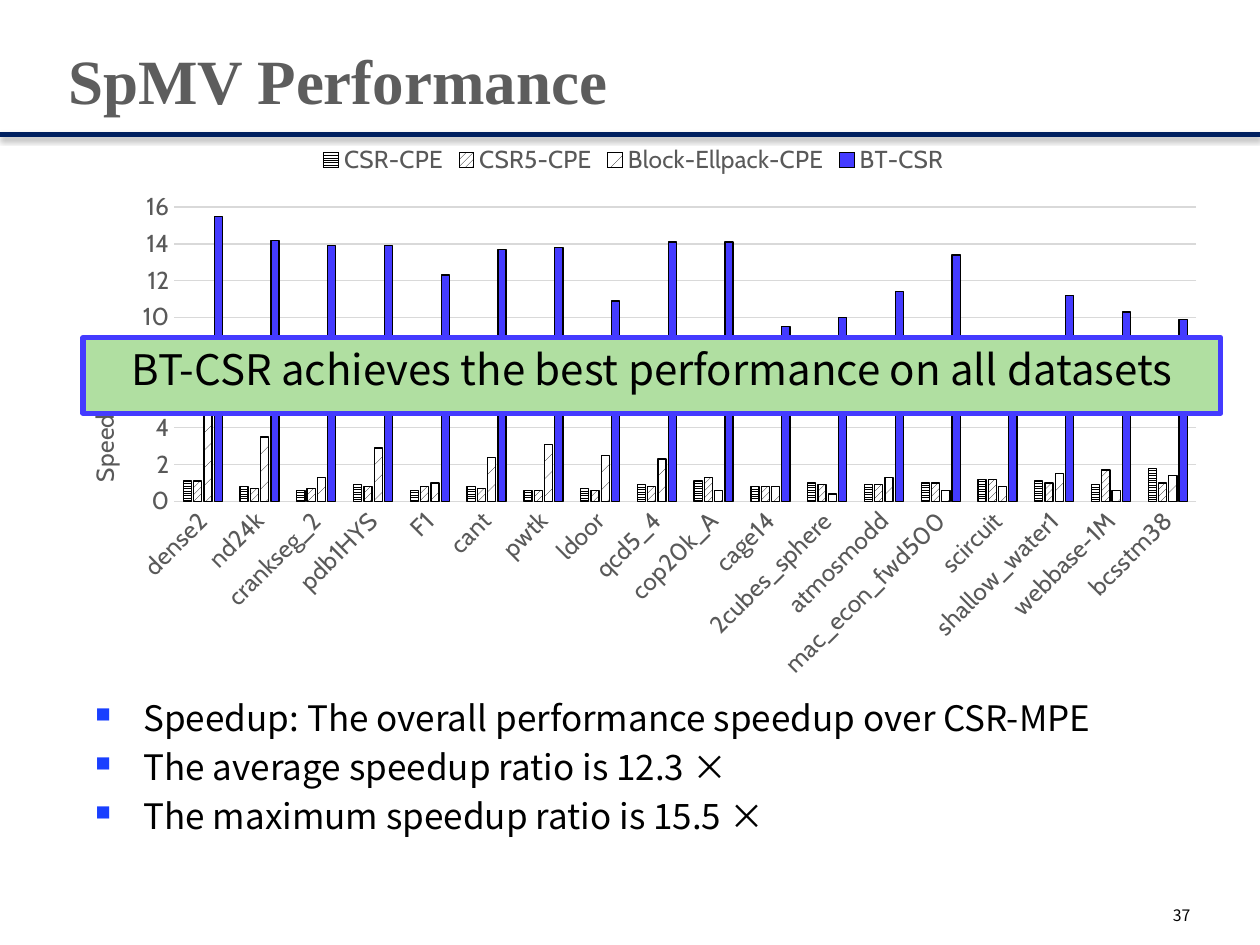
"""Build the SpMV performance slide with its speedup chart."""
from lxml import etree
from pptx import Presentation
from pptx import util as u
from pptx.chart import data as cd
from pptx.dml.color import RGBColor
from pptx.enum import chart as ch, dml, shapes, text
from pptx.oxml import ns, parse_xml

I, P = u.Inches, u.Pt
BLACK = RGBColor(0, 0, 0)
WHITE = RGBColor(255, 255, 255)
GREY = RGBColor(0x59, 0x59, 0x59)
TITLE = RGBColor(0x5D, 0x5D, 0x5D)
GRID = RGBColor(0xD9, 0xD9, 0xD9)
NAVY = RGBColor(0, 0x20, 0x60)
BLUE = RGBColor(0x44, 0x3B, 0xFF)
GREEN = RGBColor(0xB0, 0xDF, 0xA1)
SANS, SERIF, CABIN = "Noto Sans CJK SC", "Times New Roman", "Cabin"

BANNER = "BT-CSR achieves the best performance on all datasets"
POINTS = [
    "Speedup: The overall performance speedup over CSR-MPE",
    "The average speedup ratio is 12.3 ×",
    "The maximum speedup ratio is 15.5 ×",
]
SETS = ["dense2", "nd24k", "crankseg_2", "pdb1HYS", "F1", "cant", "pwtk", "ldoor",
        "qcd5_4", "cop20k_A", "cage14", "2cubes_sphere", "atmosmodd",
        "mac_econ_fwd500", "scircuit", "shallow_water1", "webbase-1M", "bcsstm38"]
PAT = dml.MSO_PATTERN
SERIES = [
    ("CSR-CPE", PAT.LIGHT_HORIZONTAL,
     [1.1, 0.8, 0.6, 0.9, 0.6, 0.8, 0.6, 0.7, 0.9, 1.1, 0.8, 1, 0.9, 1, 1.2, 1.1, 0.9, 1.8]),
    ("CSR5-CPE", PAT.WIDE_UPWARD_DIAGONAL,
     [1.1, 0.7, 0.7, 0.8, 0.8, 0.7, 0.6, 0.6, 0.8, 1.3, 0.8, 0.9, 0.9, 1, 1.2, 1, 1.7, 1]),
    ("Block-Ellpack-CPE", PAT.PERCENT_5,
     [5.6, 3.5, 1.3, 2.9, 1, 2.4, 3.1, 2.5, 2.3, 0.6, 0.8, 0.4, 1.3, 0.6, 0.8, 1.5, 0.6, 1.4]),
    ("BT-CSR", None,
     [15.5, 14.2, 13.9, 13.9, 12.3, 13.7, 13.8, 10.9, 14.1, 14.1, 9.5, 10, 11.4, 13.4,
      8.8, 11.2, 10.3, 9.9]),
]


def style(font, size, color=GREY, name=CABIN, bold=False):
    font.size, font.name, font.bold = P(size), name, bold
    font.color.rgb = color


def write(frame, lines, size, color=BLACK, name=SANS, bold=False,
          align=text.PP_ALIGN.LEFT, anchor=text.MSO_ANCHOR.TOP, bullet=False):
    frame.word_wrap = True
    frame.vertical_anchor = anchor
    for i, line in enumerate(lines):
        para = frame.add_paragraph() if i else frame.paragraphs[0]
        para.alignment = align
        if i:
            para.space_before = P(size * 0.2)
        if bullet:
            props = para._p.get_or_add_pPr()
            props.set("marL", str(I(0.38)))
            props.set("indent", str(-I(0.38)))
            tint = etree.SubElement(props, ns.qn("a:buClr"))
            etree.SubElement(tint, ns.qn("a:srgbClr"), val="193FFF")
            etree.SubElement(props, ns.qn("a:buSzPct"), val="60000")
            etree.SubElement(props, ns.qn("a:buChar"), char="■")
        run = para.add_run()
        run.text = line
        style(run.font, size, color, name, bold)


def place(node, inner=False, **spots):
    """Set a manual layout on a chart part."""
    old = node.find(ns.qn("c:layout"))
    if old is not None:
        node.remove(old)
    target = '<c:layoutTarget val="inner"/>' if inner else ""
    modes = "".join(f'<c:{k}Mode val="edge"/>' for k in "xy")
    sizes = "".join(f'<c:{k} val="{v}"/>' for k, v in spots.items())
    layout = parse_xml(f'<c:layout {ns.nsdecls("c")}><c:manualLayout>{target}{modes}{sizes}'
                       '</c:manualLayout></c:layout>')
    tx = node.find(ns.qn("c:tx"))
    if tx is None:
        node.insert(0, layout)
    else:
        tx.addnext(layout)


def turn(node, angle):
    """Rotate the text of a chart part by whole degrees."""
    body = next(node.iter(ns.qn("a:bodyPr")))
    body.set("rot", str(angle * 60000))
    body.set("vert", "horz")


def add_plot(slide):
    data = cd.CategoryChartData()
    data.categories = SETS
    for name, _, vals in SERIES:
        data.add_series(name, vals)
    chart = slide.shapes.add_chart(ch.XL_CHART_TYPE.COLUMN_CLUSTERED, I(0.38), I(1.04),
                                   I(9.3), I(4.44), data).chart
    style(chart.font, 14, BLACK)
    chart.has_title = False
    chart.has_legend = True
    chart.legend.position = ch.XL_LEGEND_POSITION.TOP
    chart.legend.include_in_layout = False
    style(chart.legend.font, 14)
    plot = chart.plots[0]
    plot.gap_width, plot.overlap, plot.vary_by_categories = 219, -27, False
    for bars, (_, pattern, _) in zip(plot.series, SERIES):
        fill = bars.format.fill
        if pattern is None:
            fill.solid()
            fill.fore_color.rgb = BLUE
        else:
            fill.patterned()
            fill.pattern = pattern
            fill.fore_color.rgb, fill.back_color.rgb = BLACK, WHITE
        bars.format.line.color.rgb = BLACK
        bars.format.line.width = P(0.75)
    cat, val = chart.category_axis, chart.value_axis
    for axis in (cat, val):
        axis.major_tick_mark = axis.minor_tick_mark = ch.XL_TICK_MARK.NONE
        style(axis.tick_labels.font, 14)
    turn(cat._element.find(ns.qn("c:txPr")), -45)
    val.minimum_scale, val.maximum_scale, val.major_unit = 0, 16, 2
    val.tick_labels.number_format, val.tick_labels.number_format_is_linked = "0", False
    val.format.line.fill.background()
    for line in (cat.format.line, val.major_gridlines.format.line):
        line.color.rgb, line.width = GRID, P(0.75)
    label = val.axis_title
    write(label.text_frame, ["Speedup"], 14, GREY, CABIN)
    turn(label._element, -90)
    place(label._element, x=0.03, y=0.45)
    place(chart._chartSpace.chart.plotArea, inner=True, x=0.108, y=0.136, w=0.872, h=0.526)


def add_rule(slide):
    rule = slide.shapes.add_connector(shapes.MSO_CONNECTOR.STRAIGHT, 0, I(1.07), I(10), I(1.07))
    rule.line.color.rgb, rule.line.width = NAVY, P(3)
    rule._element.spPr.append(parse_xml(
        f'<a:effectLst {ns.nsdecls("a")}><a:outerShdw blurRad="{P(3.1)}" dist="{P(1.8)}" '
        'dir="5400000" rotWithShape="0"><a:srgbClr val="000000"><a:alpha val="35000"/>'
        '</a:srgbClr></a:outerShdw></a:effectLst>'))


def main():
    deck = Presentation()
    deck.slide_width, deck.slide_height = I(10), I(7.5)
    slide = deck.slides.add_slide(deck.slide_layouts[5])
    add_rule(slide)
    page = slide.shapes.add_textbox(I(9.21), I(7.14), I(0.47), I(0.25))
    write(page.text_frame, ["37"], 9)
    add_plot(slide)
    head = slide.shapes.title
    head.left, head.top, head.width, head.height = I(0.31), I(0.38), I(9.37), I(0.6)
    head.text_frame.margin_left = I(0.23)
    write(head.text_frame, ["SpMV Performance"], 36, TITLE, SERIF, True,
          anchor=text.MSO_ANCHOR.BOTTOM)
    box = slide.shapes.add_shape(shapes.MSO_SHAPE.RECTANGLE, I(0.66), I(2.68), I(9.03), I(0.6))
    box.shadow.inherit = False
    box.fill.solid()
    box.fill.fore_color.rgb = GREEN
    box.line.color.rgb, box.line.width = BLUE, P(3)
    write(box.text_frame, [BANNER], 24, align=text.PP_ALIGN.CENTER)
    points = slide.shapes.add_textbox(I(0.66), I(5.48), I(9.03), I(1.5))
    write(points.text_frame, POINTS, 20, bullet=True)
    deck.save("out.pptx")


if __name__ == "__main__":
    main()
